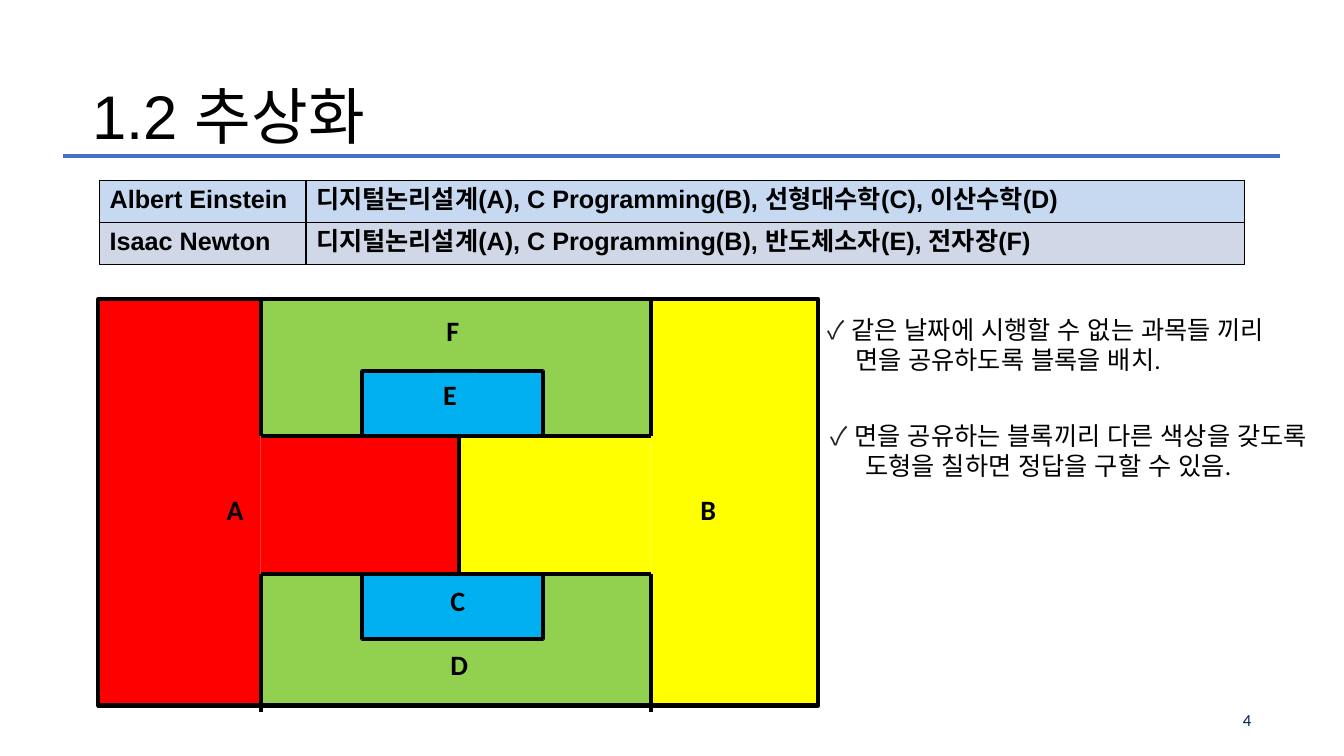
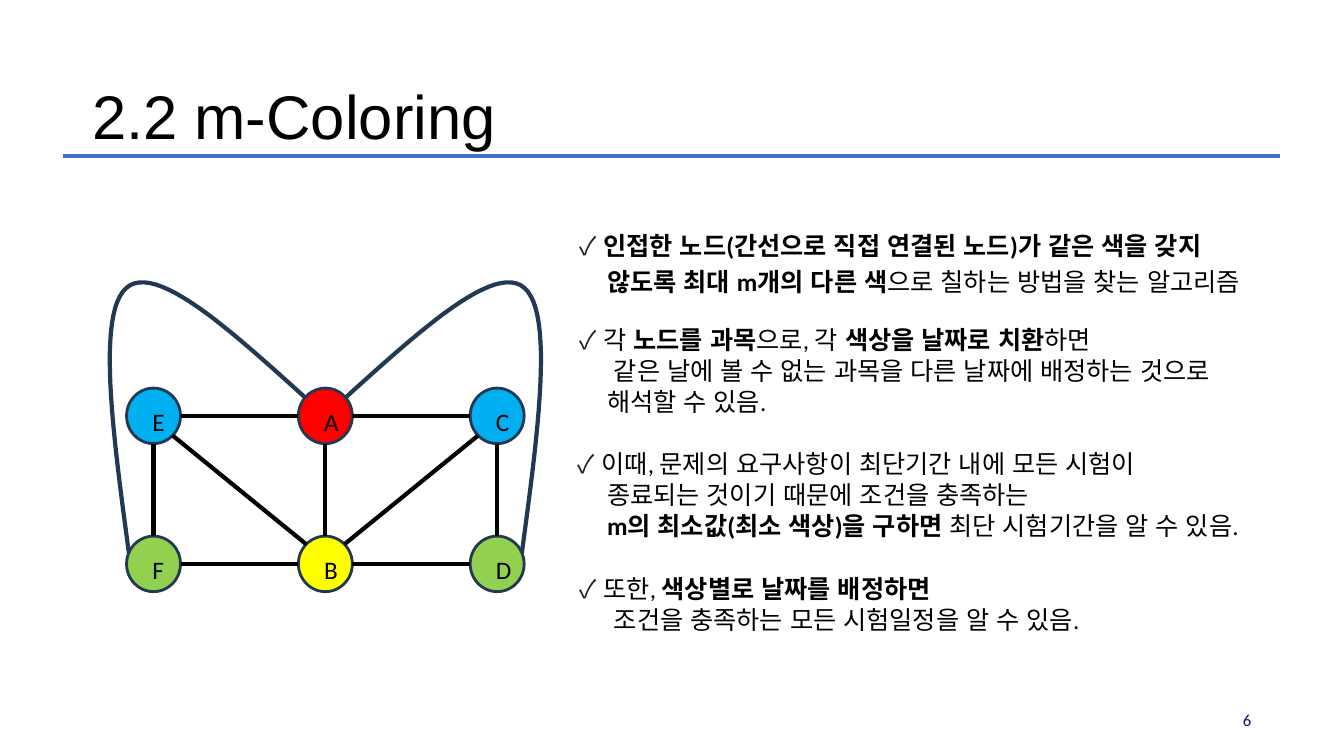
from math import comb, hypot

from lxml import etree
from pptx import Presentation
from pptx.dml.color import RGBColor
from pptx.enum.shapes import MSO_CONNECTOR as Connector, MSO_SHAPE as Preset
from pptx.enum.text import MSO_ANCHOR as Anchor, MSO_AUTO_SIZE as AutoSize, PP_ALIGN as Align
from pptx.oxml.ns import qn
from pptx.util import Cm, Pt

COLORS = {
    "black": "000000",
    "check": "222222",
    "rule": "4471C4",
    "page": "001F5F",
    "outline": "233953",
    "red": "FF0000",
    "yellow": "FFFF00",
    "green": "92D050",
    "blue": "00B0F0",
    "first_row": "C6D9F1",
    "second_row": "D0D8E8",
}
HEADING_FONT, BODY_FONT = "Arial", "Calibri"
REGULAR, BOLD = False, True
THICK = 3


def rgb(name):
    return RGBColor.from_string(COLORS[name])


def add_run(paragraph, text, size=18, font=BODY_FONT, color="black", bold=REGULAR):
    run = paragraph.add_run()
    run.text = text
    run.font.size = Pt(size)
    run.font.name = font
    run.font.bold = bold
    run.font.color.rgb = rgb(color)
    etree.SubElement(run._r.get_or_add_rPr(), qn("a:ea"), typeface=HEADING_FONT)


def set_margins(frame, left=0, top=0, right=0, bottom=0):
    frame.margin_left, frame.margin_top = Cm(left), Cm(top)
    frame.margin_right, frame.margin_bottom = Cm(right), Cm(bottom)


def add_text_box(slide, left, top, width, height, grow=False):
    box = slide.shapes.add_textbox(Cm(left), Cm(top), Cm(width), Cm(height))
    box.text_frame.word_wrap = not grow
    if grow:
        box.text_frame.auto_size = AutoSize.SHAPE_TO_FIT_TEXT
    return box


def add_line(slide, start, end, color="black", weight=THICK):
    line = slide.shapes.add_connector(Connector.STRAIGHT, *(Cm(value) for value in (*start, *end)))
    line.line.color.rgb = rgb(color)
    line.line.width = Pt(weight)
    etree.SubElement(line._element.spPr, qn("a:effectLst"))


def add_filled_shape(slide, preset, box, fill=None, outline=None, weight=2):
    shape = slide.shapes.add_shape(preset, *(Cm(value) for value in box))
    shape.shadow.inherit = False
    if fill:
        shape.fill.solid()
        shape.fill.fore_color.rgb = rgb(fill)
    else:
        shape.fill.background()
    if outline:
        shape.line.color.rgb = rgb(outline)
        shape.line.width = Pt(weight)
    else:
        shape.line.fill.background()
    return shape


def add_base_slide(presentation, title, title_width, page):
    """Add a blank slide with the title, the rule below it and the page number."""
    slide = presentation.slides.add_slide(presentation.slide_layouts[6])
    add_line(slide, (1.6, 3.93), (32.26, 3.93), "rule", 2.5)

    page_frame = add_text_box(slide, 31.22, 17.96, 0.86, 0.43).text_frame
    set_margins(page_frame, left=0.1)
    page_frame.paragraphs[0].line_spacing = Pt(12.4)
    add_run(page_frame.paragraphs[0], page, 12, color="page")

    title_frame = add_text_box(slide, 2.07, 1.83, title_width, 2.13, grow=True).text_frame
    add_run(title_frame.paragraphs[0], title, 44, HEADING_FONT)
    return slide


def add_note(slide, left, top, width, lines, gap=0):
    """Add a checked note; each line is its indent in cm followed by (text, bold) runs."""
    frame = add_text_box(slide, left, top, width, 0.24 + 0.78 * len(lines)).text_frame
    for index, (indent, *runs) in enumerate(lines):
        if index:
            paragraph = frame.add_paragraph()
            paragraph.space_before = Pt(gap)
            paragraph._p.get_or_add_pPr().set("marL", str(Cm(indent)))
        else:
            paragraph = frame.paragraphs[0]
            add_run(paragraph, "✓ ", font=HEADING_FONT, color="check")
        for text, bold in runs:
            add_run(paragraph, text, bold=bold)


def set_cell_borders(cell):
    properties = cell._tc.get_or_add_tcPr()
    for index, side in enumerate(("lnL", "lnR", "lnT", "lnB")):
        border = etree.Element(qn(f"a:{side}"), w=str(Pt(1)))
        fill = etree.SubElement(border, qn("a:solidFill"))
        etree.SubElement(fill, qn("a:srgbClr"), val=COLORS["black"])
        properties.insert(index, border)


def add_course_table(slide, left, top, rows):
    column_widths, row_height = (5.2, 23.65), 1.06
    table = slide.shapes.add_table(
        len(rows), len(column_widths), Cm(left), Cm(top),
        Cm(sum(column_widths)), Cm(row_height * len(rows))).table
    table.first_row = table.horz_banding = False
    for column, width in zip(table.columns, column_widths):
        column.width = Cm(width)
    for row, (fill, *texts) in zip(table.rows, rows):
        row.height = Cm(row_height)
        for cell, text in zip(row.cells, texts):
            cell.fill.solid()
            cell.fill.fore_color.rgb = rgb(fill)
            set_cell_borders(cell)
            add_run(cell.text_frame.paragraphs[0], text, font=HEADING_FONT, bold=BOLD)


def add_block_map(slide, left, top):
    """Fill the blocks piece by piece, then draw the frame, the walls and the labels."""
    right, bottom, middle = 18.14, 10.24, 9.08
    bay_left, bay_right, upper, lower = 4.09, 13.92, 3.45, 6.92
    inset_left, inset_right, inset_height = 6.64, 11.21, 1.65
    inset_top, inset_bottom = upper - inset_height, lower + inset_height

    pieces = [
        ("yellow", middle, upper, bay_right, lower),
        ("yellow", bay_right, 0, right, bottom),
        ("red", 0, 0, bay_left, bottom),
        ("red", bay_left, upper, middle, lower),
    ]
    for outer, inner, near, far in ((0, upper, 0, inset_top),
                                    (bottom, lower, inset_bottom, bottom)):
        bay_top, bay_bottom = sorted((outer, inner))
        pieces += [
            ("green", bay_left, near, bay_right, far),
            ("green", bay_left, bay_top, inset_left, bay_bottom),
            ("green", inset_right, bay_top, bay_right, bay_bottom),
        ]
    pieces += [
        ("blue", inset_left, inset_top, inset_right, upper),
        ("blue", inset_left, lower, inset_right, inset_bottom),
    ]
    for fill, x1, y1, x2, y2 in pieces:
        box = (left + x1, top + y1, x2 - x1, y2 - y1)
        add_filled_shape(slide, Preset.RECTANGLE, box, fill, "outline" if fill == "blue" else None)
    add_filled_shape(slide, Preset.RECTANGLE, (left, top, right, bottom), None, "black", THICK)

    tick_end = bottom + 0.17
    walls = [(middle, upper, middle, lower)]
    walls += [(x, y1, x, y2) for x in (bay_left, bay_right)
              for y1, y2 in ((0, upper), (lower, tick_end))]
    walls += [(bay_left, y, bay_right, y) for y in (upper, lower)]
    walls += [(x, y1, x, y2) for x in (inset_left, inset_right)
              for y1, y2 in ((inset_top, upper), (lower, inset_bottom))]
    walls += [(inset_left, y, inset_right, y) for y in (inset_top, inset_bottom)]
    for x1, y1, x2, y2 in walls:
        add_line(slide, (left + x1, top + y1), (left + x2, top + y2))

    labels = [
        ("A", None, 2.98, 4.75, 1.22), ("B", None, 14.92, 4.75, 1.19),
        ("E", "blue", 8.44, 1.86, 1.12), ("F", None, 8.52, 0.23, 1.09),
        ("C", "blue", 8.62, 7.04, 1.14), ("D", "green", 8.62, 8.66, 1.24),
    ]
    for text, fill, x, y, width in labels:
        label = add_text_box(slide, left + x, top + y, width, 1.47, grow=True)
        if fill:
            label.fill.solid()
            label.fill.fore_color.rgb = rgb(fill)
        add_run(label.text_frame.paragraphs[0], text, 20, bold=BOLD)


def bezier_point(points, t):
    degree = len(points) - 1
    weights = [comb(degree, k) * t ** k * (1 - t) ** (degree - k) for k in range(degree + 1)]
    return tuple(sum(w * point[axis] for w, point in zip(weights, points)) for axis in (0, 1))


def add_arc(slide, center, side):
    """Draw the loop from the top middle node; side is -1 for left and 1 for right."""
    controls = [(0.53, -0.48), (2.41, -2.18), (4.29, -3.88), (5.02, -3.22),
                (5.76, -2.56), (5.36, 0.44), (4.95, 3.46)]
    controls = [(center[0] + side * x, center[1] + y) for x, y in controls]
    steps = 24
    points = [bezier_point(controls[first:first + 4], step / steps)
              for first in (0, 3) for step in range(steps + 1)]
    start, *rest = [(Cm(x), Cm(y)) for x, y in points]
    builder = slide.shapes.build_freeform(*start, scale=1.0)
    builder.add_line_segments(rest, close=False)
    arc = builder.convert_to_shape()
    arc.shadow.inherit = False
    arc.fill.background()
    arc.line.color.rgb = rgb("outline")
    arc.line.width = Pt(THICK)


def add_node(slide, name, fill, x, y, width, height):
    box = (x - width / 2, y - height / 2, width, height)
    add_filled_shape(slide, Preset.OVAL, box, fill, "outline")
    label_box = (x - 0.28, y - 0.38, 0.6, 0.74)
    frame = add_filled_shape(slide, Preset.RECTANGLE, label_box, fill).text_frame
    set_margins(frame, left=0.25, top=0.13)
    frame.word_wrap = False
    frame.vertical_anchor = Anchor.TOP
    frame.paragraphs[0].alignment = Align.LEFT
    add_run(frame.paragraphs[0], name)


def add_course_graph(slide, left, top):
    column_gap, row_gap = 4.33, 3.73
    node_width, node_height = 1.36, 1.4
    nodes = {"E": ("blue", 0, 0), "A": ("red", 1, 0), "C": ("blue", 2, 0),
             "F": ("green", 0, 1), "B": ("yellow", 1, 1), "D": ("green", 2, 1)}
    centers = {}
    for name, (fill, column, row) in nodes.items():
        centers[name] = left + 1.1 + column * column_gap, top + 3.37 + row * row_gap
        add_node(slide, name, fill, *centers[name], node_width, node_height)

    for first, second in ("EA", "AC", "FB", "BD", "EF", "AB", "CD", "EB", "CB"):
        step_x, step_y = (nodes[second][axis] - nodes[first][axis] for axis in (1, 2))
        length = hypot(step_x, step_y)
        reach_x = step_x / length * node_width / 2
        reach_y = step_y / length * node_height / 2
        (x1, y1), (x2, y2) = centers[first], centers[second]
        add_line(slide, (x1 + reach_x, y1 + reach_y), (x2 - reach_x, y2 - reach_y))

    for side in (-1, 1):
        add_arc(slide, centers["A"], side)


def add_abstraction_slide(presentation):
    slide = add_base_slide(presentation, "1.2 추상화", 7.85, "4")
    add_course_table(slide, 2.51, 4.55, [
        ("first_row", "Albert Einstein",
         "디지털논리설계(A), C Programming(B), 선형대수학(C), 이산수학(D)"),
        ("second_row", "Isaac Newton",
         "디지털논리설계(A), C Programming(B), 반도체소자(E), 전자장(F)"),
    ])
    add_block_map(slide, 2.48, 7.54)
    add_note(slide, 20.6, 7.8, 12.47, [
        (0, ("같은 날짜에 시행할 수 없는 과목들 끼리", REGULAR)),
        (0.7, ("면을 공유하도록 블록을 배치.", REGULAR)),
    ])
    add_note(slide, 20.68, 10.46, 13.1, [
        (0, ("면을 공유하는 블록끼리 다른 색상을 갖도록", REGULAR)),
        (0.88, ("도형을 칠하면 정답을 구할 수 있음.", REGULAR)),
    ])


def add_coloring_slide(presentation):
    slide = add_base_slide(presentation, "2.2 m-Coloring", 11.2, "6")
    add_course_graph(slide, 2.77, 7.11)
    notes = [
        (14.35, 5.69, 4, [
            (0, ("인접한 노드(간선으로 직접 연결된 노드)가 같은 색을 갖지", BOLD)),
            (0.7, ("않도록 최대 m개의 다른 색", BOLD),
             ("으로 칠하는 방법을 찾는 알고리즘", REGULAR)),
        ]),
        (14.35, 8.04, 0.5, [
            (0, ("각 ", REGULAR), ("노드를 과목", BOLD), ("으로, 각 ", REGULAR),
             ("색상을 날짜로 치환", BOLD), ("하면", REGULAR)),
            (0.87, ("같은 날에 볼 수 없는 과목을 다른 날짜에 배정하는 것으로", REGULAR)),
            (0.7, ("해석할 수 있음.", REGULAR)),
        ]),
        (14.3, 11.18, 0.5, [
            (0, ("이때, 문제의 요구사항이 최단기간 내에 모든 시험이", REGULAR)),
            (0.75, ("종료되는 것이기 때문에 조건을 충족하는", REGULAR)),
            (0.75, ("m의 최소값(최소 색상)을 구하면 ", BOLD),
             ("최단 시험기간을 알 수 있음.", REGULAR)),
        ]),
        (14.35, 14.33, 0, [
            (0, ("또한, ", REGULAR), ("색상별로 날짜를 배정하면", BOLD)),
            (0.87, ("조건을 충족하는 모든 시험일정을 알 수 있음.", REGULAR)),
        ]),
    ]
    for left, top, gap, lines in notes:
        add_note(slide, left, top, 18.6, lines, gap)


def main():
    presentation = Presentation()
    presentation.slide_width, presentation.slide_height = Cm(33.87), Cm(19.05)
    add_abstraction_slide(presentation)
    add_coloring_slide(presentation)
    presentation.save("out.pptx")


if __name__ == "__main__":
    main()
